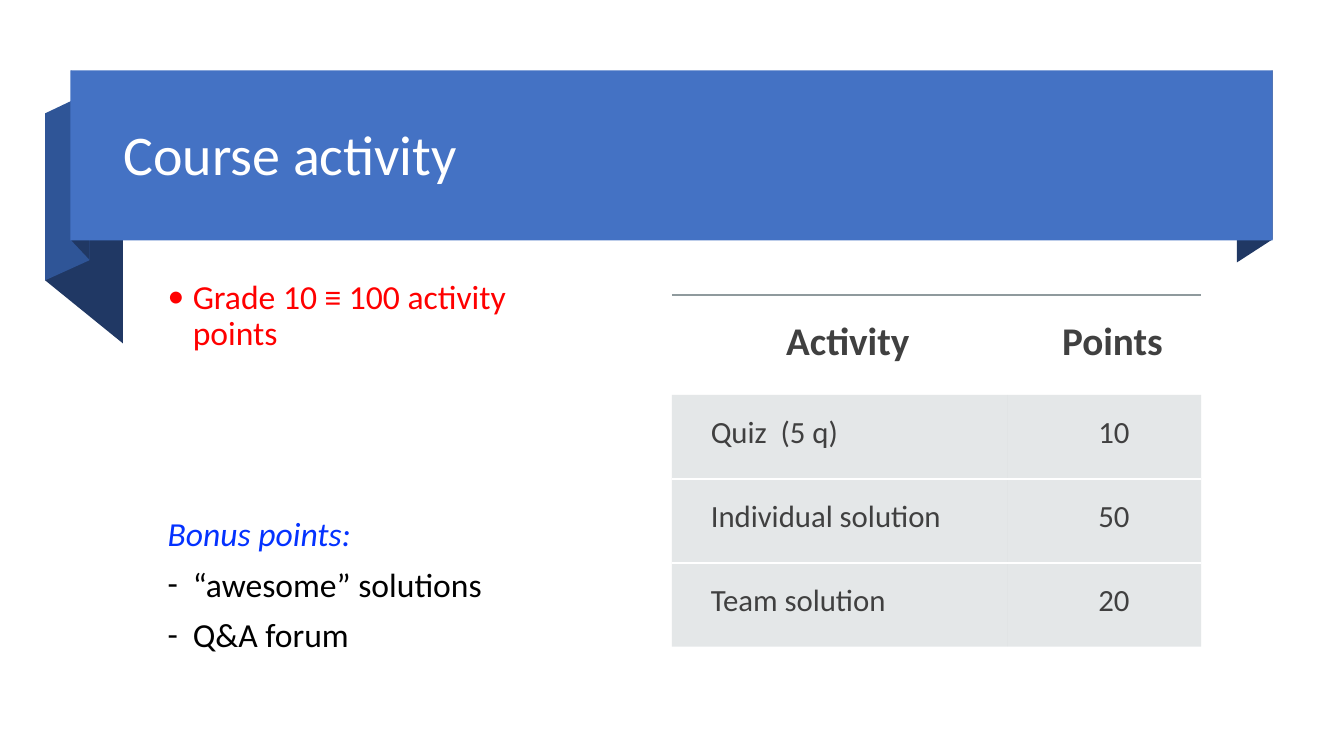
from lxml import etree
from pptx import Presentation
from pptx.dml.color import RGBColor
from pptx.enum.shapes import MSO_SHAPE
from pptx.enum.text import MSO_ANCHOR, MSO_AUTO_SIZE, PP_ALIGN
from pptx.oxml.ns import qn
from pptx.util import Pt

PX = 9525
FONT = "Calibri"
RECTANGLE = MSO_SHAPE.RECTANGLE
MIDDLE, TOP = MSO_ANCHOR.MIDDLE, MSO_ANCHOR.TOP
LEFT, CENTER = PP_ALIGN.LEFT, PP_ALIGN.CENTER
NO_AUTOFIT = MSO_AUTO_SIZE.NONE

BLUE, MID_BLUE, NAVY = "4472C4", "2F5597", "203864"
WHITE, GREY_TEXT, CELL_GREY, RULE_GREY = "FFFFFF", "404040", "B4BCBE", "8F9A9D"

FOLDS = [
    (NAVY, [(1212, 228), (1178, 250), (1178, 87), (1212, 67)]),
    (NAVY, [(117, 327), (43, 267), (43, 108), (117, 168)]),
    (MID_BLUE, [(85, 248), (43, 267), (43, 108), (85, 88)]),
    (NAVY, [(85, 247), (68, 229), (68, 67), (85, 85)]),
]
BODY_LINES = [
    ("Grade 10 ≡ 100 activity points", "FF0000", "•", 10),
    ("Bonus points:", "0432FF", None, 118),
    ("“awesome” solutions", "000000", "-", 10),
    ("Q&A forum", "000000", "-", 10),
]
TABLE_ROWS = [
    ("Activity", "Points"),
    ("Quiz  (5 q)", "10"),
    ("Individual solution", "50"),
    ("Team solution", "20"),
]


def rgb(value):
    """Turn a hex string into a colour."""
    return RGBColor.from_string(value)


def add_run(paragraph, text, size, color, bold=False, italic=False):
    """Add one formatted run to a paragraph."""
    run = paragraph.add_run()
    run.text = text
    font = run.font
    font.name, font.size, font.bold, font.italic = FONT, Pt(size), bold, italic
    font.color.rgb = rgb(color)


def place(shape, left, top, width, height):
    """Move and size a shape in px."""
    shape.left, shape.top = left * PX, top * PX
    shape.width, shape.height = width * PX, height * PX


def paint(shape, color):
    """Give a shape a flat fill without line or shadow."""
    shape.fill.solid()
    shape.fill.fore_color.rgb = rgb(color)
    shape.line.fill.background()
    shape.shadow.inherit = False


def add_ribbon(slide):
    """Draw the folded ribbon behind the title."""
    group = slide.shapes.add_group_shape()
    for color, points in FOLDS:
        builder = group.shapes.build_freeform(*points[0], scale=PX)
        builder.add_line_segments(points[1:], close=True)
        paint(builder.convert_to_shape(), color)
    band = group.shapes.add_shape(RECTANGLE, 67 * PX, 67 * PX, 1145 * PX, 162 * PX)
    paint(band, BLUE)
    slide.shapes._spTree.insert(2, group._element)


def fill_title(title, text):
    """Place and write the slide title."""
    place(title, 108, 80, 1082, 139)
    frame = title.text_frame
    frame.auto_size, frame.vertical_anchor = NO_AUTOFIT, MIDDLE
    paragraph = frame.paragraphs[0]
    paragraph.alignment, paragraph.line_spacing = LEFT, 0.9
    add_run(paragraph, text, 40, WHITE)


def set_bullet(paragraph, mark):
    """Set a hanging bullet, or none."""
    properties = paragraph._p.get_or_add_pPr()
    indent = 24 * PX if mark else 0
    properties.set("marL", str(indent))
    properties.set("indent", str(-indent))
    if mark:
        etree.SubElement(properties, qn("a:buFont"), typeface=FONT)
        etree.SubElement(properties, qn("a:buChar"), char=mark)
    else:
        etree.SubElement(properties, qn("a:buNone"))


def fill_body(body):
    """Place and write the list of grading rules."""
    place(body, 150, 262, 425, 374)
    frame = body.text_frame
    frame.auto_size, frame.vertical_anchor = NO_AUTOFIT, TOP
    for index, (text, color, mark, space) in enumerate(BODY_LINES):
        paragraph = frame.add_paragraph() if index else frame.paragraphs[0]
        paragraph.line_spacing, paragraph.space_before = 0.9, Pt(space)
        set_bullet(paragraph, mark)
        add_run(paragraph, text, 24, color, italic=mark is None)


def add_alpha(color_element, percent):
    """Make a colour element partly transparent."""
    etree.SubElement(color_element, qn("a:alpha"), val=str(percent * 1000))


def set_borders(cell, top, bottom):
    """Set top and bottom borders as (colour, opacity) and hide the sides."""
    properties = cell._tc.get_or_add_tcPr()
    for side, border in (("L", None), ("R", None), ("T", top), ("B", bottom)):
        line = etree.SubElement(properties, qn(f"a:ln{side}"), w=str(Pt(1.5)))
        if border is None:
            etree.SubElement(line, qn("a:noFill"))
            continue
        color, percent = border
        fill = etree.SubElement(line, qn("a:solidFill"))
        add_alpha(etree.SubElement(fill, qn("a:srgbClr"), val=color), percent)


def fill_cell(cell, text, row, column):
    """Write and style one table cell."""
    header = row == 0
    white = (WHITE, 100)
    top = (RULE_GREY, 60) if header else white if row > 1 else None
    bottom = white if 0 < row < len(TABLE_ROWS) - 1 else None
    set_borders(cell, top, bottom)
    if header:
        cell.fill.background()
    else:
        cell.fill.solid()
        cell.fill.fore_color.rgb = rgb(CELL_GREY)
        add_alpha(next(cell._tc.tcPr.find(qn("a:solidFill")).iterchildren()), 35)
    padding = (22 if header else 19) * PX
    cell.margin_left = 37 * PX
    cell.margin_right = cell.margin_top = cell.margin_bottom = padding
    paragraph = cell.text_frame.paragraphs[0]
    paragraph.alignment = CENTER if header or column else LEFT
    add_run(paragraph, text, 28 if header else 22, GREY_TEXT, bold=header)


def add_points_table(slide):
    """Add the table of activities and points."""
    frame = slide.shapes.add_table(
        len(TABLE_ROWS), 2, 640 * PX, 281 * PX, 504 * PX, 335 * PX)
    table = frame.table
    table.horz_banding = False
    for column, width in zip(table.columns, (320, 184)):
        column.width = width * PX
    for row, texts in enumerate(TABLE_ROWS):
        table.rows[row].height = (80 if row else 95) * PX
        for column, text in enumerate(texts):
            fill_cell(table.cell(row, column), text, row, column)


def main():
    """Build and save the slide."""
    presentation = Presentation()
    presentation.slide_width, presentation.slide_height = 1280 * PX, 720 * PX
    slide = presentation.slides.add_slide(presentation.slide_layouts[1])
    add_ribbon(slide)
    fill_title(slide.shapes.title, "Course activity")
    fill_body(slide.placeholders[1])
    add_points_table(slide)
    presentation.save("out.pptx")


if __name__ == "__main__":
    main()
